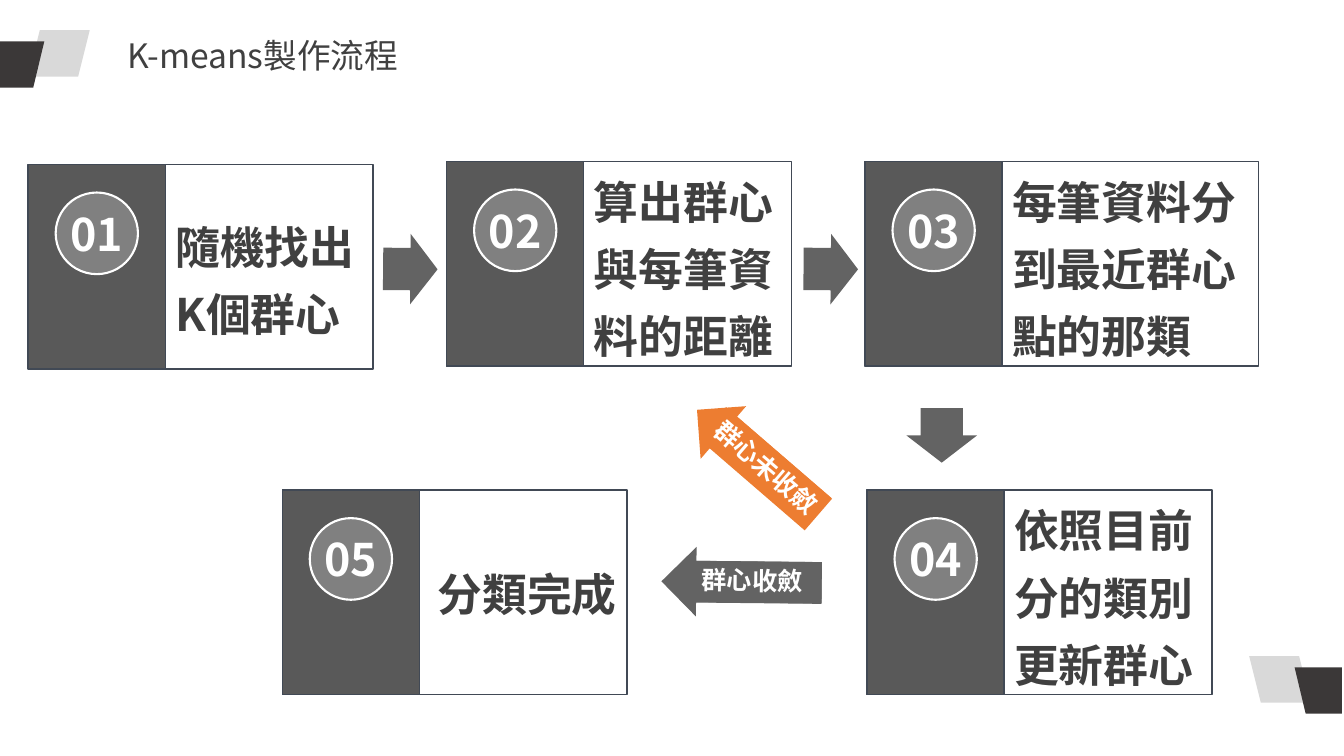
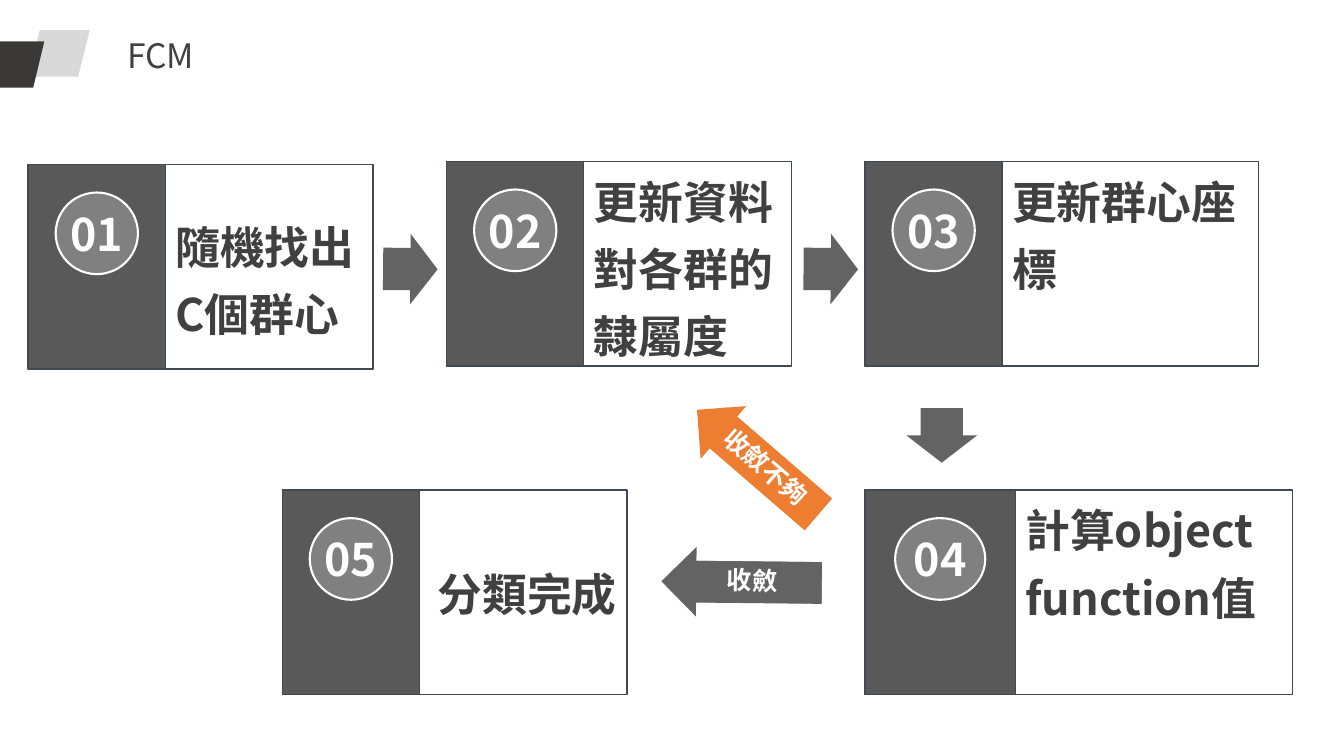
from dataclasses import dataclass

from lxml import etree
from pptx import Presentation
from pptx.dml.color import RGBColor
from pptx.enum.shapes import MSO_SHAPE as SHAPE
from pptx.enum.text import MSO_ANCHOR as ANCHOR, MSO_AUTO_SIZE as AUTO, PP_ALIGN as ALIGN
from pptx.oxml.ns import qn
from pptx.shapes.autoshape import Shape
from pptx.shapes.shapetree import GroupShapes
from pptx.slide import Slide
from pptx.text.text import TextFrame
from pptx.util import Inches, Pt

FONT = "Noto Sans CJK SC"
WHITE = RGBColor(0xFF, 0xFF, 0xFF)
TEXT = RGBColor(0x40, 0x40, 0x40)
TAB = RGBColor(0x59, 0x59, 0x59)
BADGE = RGBColor(0x80, 0x80, 0x80)
BORDER = RGBColor(0x41, 0x49, 0x55)
ARROW = RGBColor(0x63, 0x63, 0x63)
ORANGE = RGBColor(0xED, 0x7D, 0x31)
LIGHT_MARK = RGBColor(0xD9, 0xD9, 0xD9)
DARK_MARK = RGBColor(0x3B, 0x38, 0x38)

CARD_H = 2.03
BADGE_H = 0.81
MARK_OUTLINE = [(-0.03, 0.41), (0.44, 0.41), (0.33, 0.87), (-0.03, 0.87)]
MIRROR_X, MIRROR_DY = 13.28, 6.21


@dataclass(frozen=True)
class Card:
    left: float
    top: float
    text: str
    text_dy: float = -0.05
    text_dx: float = 0
    width: float = 3.42
    tab_width: float = 1.36


@dataclass(frozen=True)
class Arrow:
    left: float
    top: float
    rotation: float
    width: float = 0.54
    height: float = 0.7
    color: RGBColor = ARROW


@dataclass(frozen=True)
class Label:
    left: float
    top: float
    rotation: float
    text: str
    color: RGBColor


@dataclass(frozen=True)
class Process:
    title: str
    cards: list[Card]
    retry: str
    done: str
    bottom_mark: bool


STEP_ARROWS = [Arrow(3.8, 2.32, 0.5), Arrow(7.97, 2.32, 0.5), Arrow(9.07, 3.97, 90)]
RETRY_ARROW = Arrow(6.72, 4.24, 220.8, 1.59, 0.69, ORANGE)
DONE_ARROW = Arrow(6.56, 5.43, 180.6, 1.59, 0.69)
FINAL_CARD = Card(2.8, 4.86, "分類完成", 0.58, 0.08)

PROCESSES = [
    Process(
        "K-means製作流程",
        [
            Card(0.28, 1.63, "隨機找出K個群心", 0.37),
            Card(4.43, 1.6, "算出群心與每筆資料的距離"),
            Card(8.58, 1.6, "每筆資料分到最近群心點的那類", width=3.9),
            Card(8.6, 4.86, "依照目前分的類別更新群心"),
            FINAL_CARD,
        ],
        "群心未收斂", "群心收斂", True,
    ),
    Process(
        "FCM",
        [
            Card(0.28, 1.63, "隨機找出C個群心", 0.37),
            Card(4.43, 1.6, "更新資料對各群的隸屬度"),
            Card(8.58, 1.6, "更新群心座標", width=3.9),
            Card(8.58, 4.86, "計算object function值", width=4.24, tab_width=1.49),
            FINAL_CARD,
        ],
        "收斂不夠", "收斂", False,
    ),
]


def write(tf: TextFrame, text: str, size: int, color: RGBColor, bold: bool,
          align: ALIGN, spacing: float = 1.0) -> None:
    tf.word_wrap = True
    tf.auto_size = AUTO.NONE
    tf.text = text
    p = tf.paragraphs[0]
    p.alignment = align
    p.line_spacing = spacing
    p.font.size = Pt(size)
    p.font.bold = bold
    p.font.color.rgb = color
    p.font.name = FONT
    props = p._p.pPr.find(qn("a:defRPr"))
    etree.SubElement(props, qn("a:ea")).set("typeface", FONT)


def write_centred(sp: Shape, text: str, size: int, spacing: float = 1.0) -> None:
    tf = sp.text_frame
    tf.margin_left = tf.margin_right = tf.margin_top = tf.margin_bottom = 0
    tf.vertical_anchor = ANCHOR.MIDDLE
    write(tf, text, size, WHITE, True, ALIGN.CENTER, spacing)


def paint(sp: Shape, fill: RGBColor | None, line: RGBColor | None = None,
          line_width: float = 1) -> None:
    sp.shadow.inherit = False
    if fill is None:
        sp.fill.background()
    else:
        sp.fill.solid()
        sp.fill.fore_color.rgb = fill
    if line is None:
        sp.line.fill.background()
    else:
        sp.line.color.rgb = line
        sp.line.width = Pt(line_width)


def add_block(shapes: GroupShapes, kind: SHAPE, left: float, top: float,
              width: float, height: float, fill: RGBColor | None,
              line: RGBColor | None = None, line_width: float = 1) -> Shape:
    sp = shapes.add_shape(kind, Inches(left), Inches(top), Inches(width), Inches(height))
    paint(sp, fill, line, line_width)
    return sp


def add_corner_mark(s: Slide, mirrored: bool = False) -> None:
    shapes = s.shapes.add_group_shape().shapes
    left, top, width, height = 0.28, 0.3, 0.61, 0.46
    points = MARK_OUTLINE
    if mirrored:
        left, top = MIRROR_X - left - width, top + MIRROR_DY
        points = [(MIRROR_X - x, y + MIRROR_DY) for x, y in points]
    light = add_block(shapes, SHAPE.PARALLELOGRAM, left, top, width, height, LIGHT_MARK)
    if mirrored:
        light._element.spPr.xfrm.set("flipH", "1")
    outline = [(Inches(x), Inches(y)) for x, y in points]
    builder = shapes.build_freeform(*outline[0])
    builder.add_line_segments(outline[1:], close=True)
    paint(builder.convert_to_shape(), DARK_MARK)


def add_title(s: Slide, text: str) -> None:
    sp = s.shapes.title
    sp.left, sp.top, sp.width, sp.height = (Inches(v) for v in (1.16, 0.3, 5.93, 0.5))
    sp.text_frame.vertical_anchor = ANCHOR.TOP
    write(sp.text_frame, text, 24, TEXT, False, ALIGN.JUSTIFY)


def add_card(s: Slide, number: int, card: Card) -> None:
    shapes = s.shapes.add_group_shape().shapes
    body = shapes.add_textbox(
        Inches(card.left + card.tab_width + card.text_dx), Inches(card.top + card.text_dy),
        Inches(card.width - card.tab_width), Inches(CARD_H - max(card.text_dy, 0)))
    write(body.text_frame, card.text, 32, TEXT, True, ALIGN.LEFT, 1.25)
    for width, fill in ((card.width, None), (card.tab_width, TAB)):
        add_block(shapes, SHAPE.RECTANGLE, card.left, card.top, width, CARD_H, fill, BORDER)
    badge_width = 0.6 * card.tab_width
    badge = add_block(shapes, SHAPE.OVAL, card.left + (card.tab_width - badge_width) / 2,
                      card.top + 0.28, badge_width, BADGE_H, BADGE, WHITE, 1.5)
    write_centred(badge, f"{number:02}", 32)


def add_arrow(s: Slide, arrow: Arrow) -> None:
    sp = add_block(s.shapes, SHAPE.RIGHT_ARROW, arrow.left, arrow.top,
                   arrow.width, arrow.height, arrow.color)
    sp.adjustments[0], sp.adjustments[1] = 0.6, 0.5
    sp.rotation = arrow.rotation


def add_label(s: Slide, label: Label) -> None:
    sp = add_block(s.shapes, SHAPE.RECTANGLE, label.left, label.top, 1.38, 0.41, label.color)
    sp.rotation = label.rotation
    write_centred(sp, label.text, 18, 0.9)


def add_process(prs: Presentation, process: Process) -> None:
    s = prs.slides.add_slide(prs.slide_layouts[5])
    add_corner_mark(s)
    if process.bottom_mark:
        add_corner_mark(s, mirrored=True)
    add_title(s, process.title)
    for number, card in enumerate(process.cards, 1):
        add_card(s, number, card)
    for arrow in [RETRY_ARROW, DONE_ARROW, *STEP_ARROWS]:
        add_arrow(s, arrow)
    add_label(s, Label(6.9, 4.44, 40.8, process.retry, ORANGE))
    add_label(s, Label(6.77, 5.57, 0.6, process.done, ARROW))


def main() -> None:
    prs = Presentation()
    prs.slide_width, prs.slide_height = Inches(13.33), Inches(7.5)
    for process in PROCESSES:
        add_process(prs, process)
    prs.save("out.pptx")


if __name__ == "__main__":
    main()
